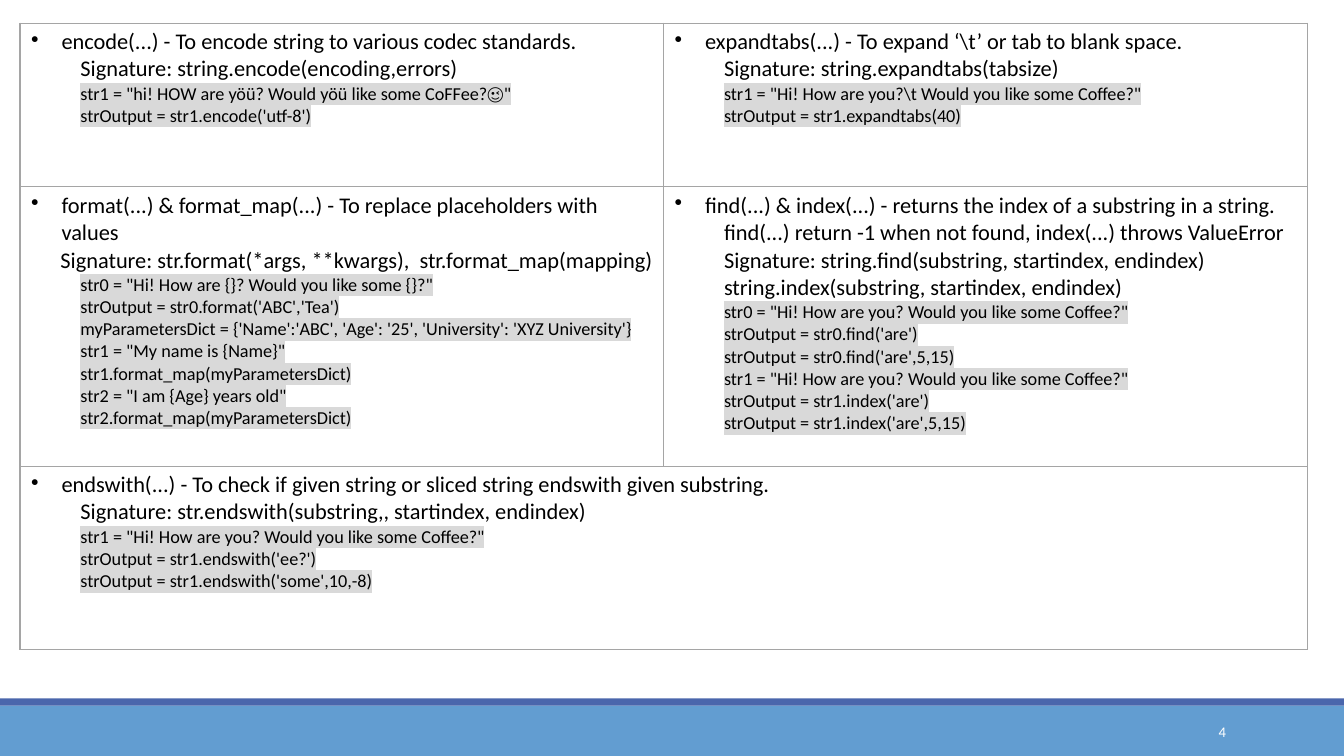
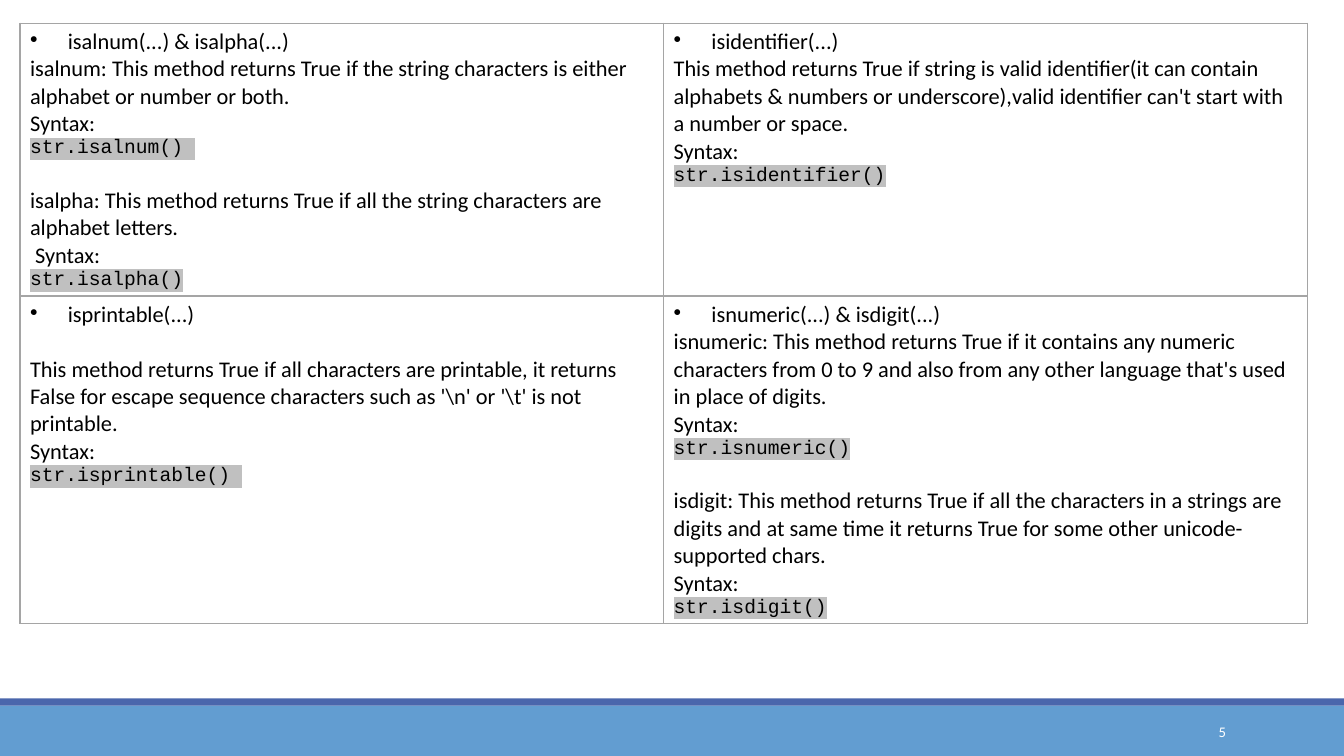
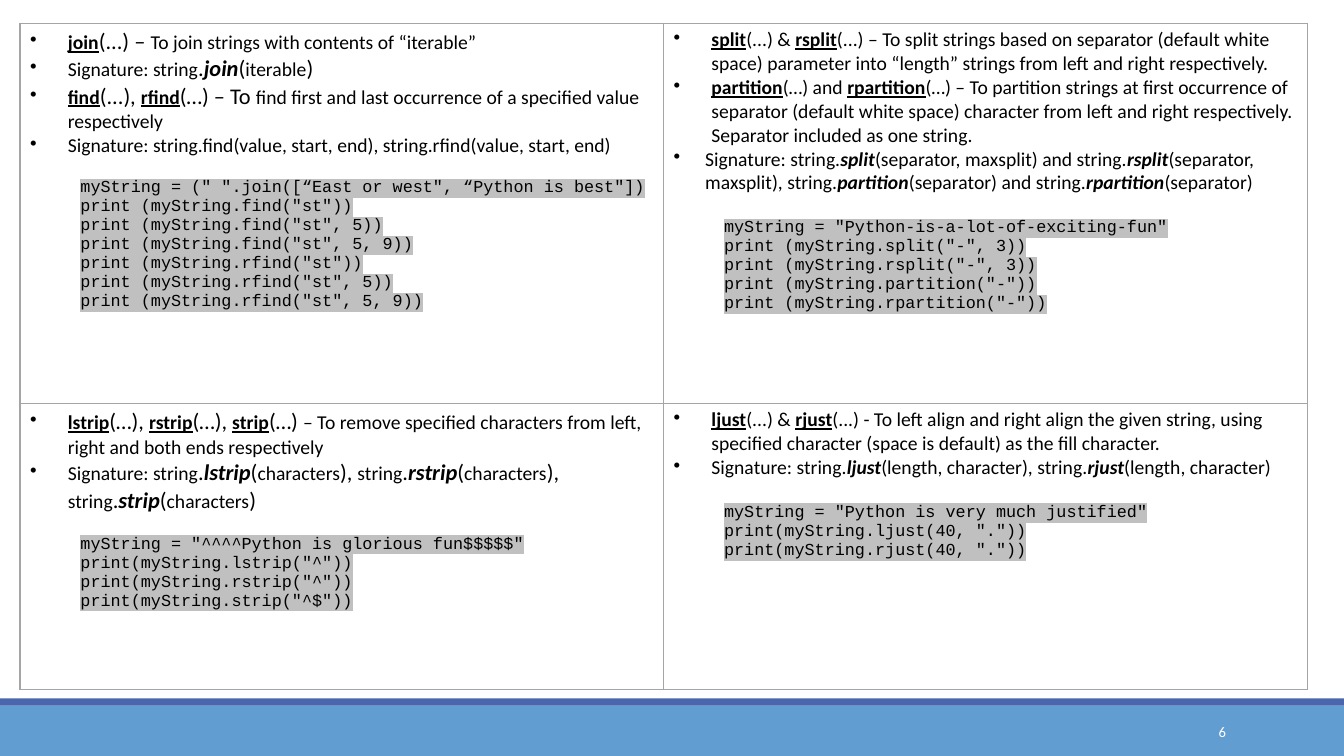
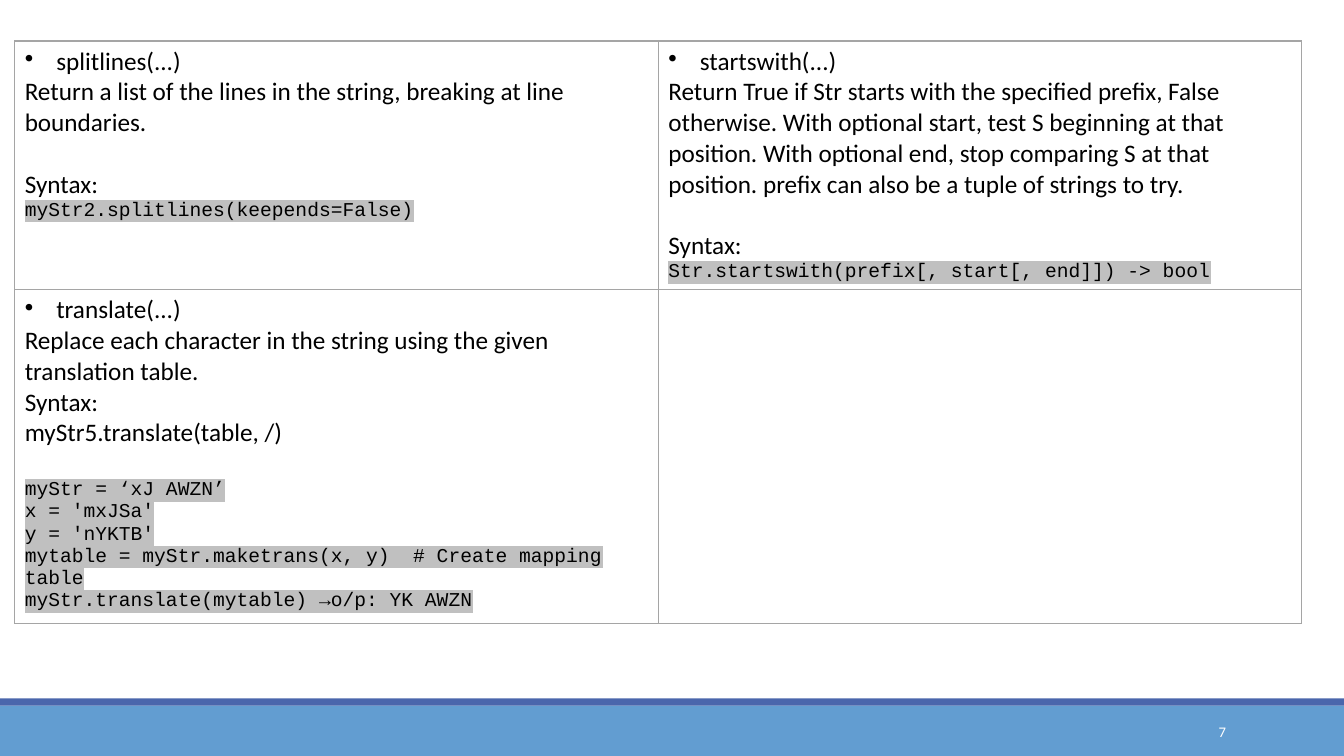
"""Build four slides of Python string method reference tables."""
import dataclasses
import typing

import lxml.etree
import pptx
import pptx.dml.color
import pptx.enum.shapes
import pptx.enum.text
import pptx.oxml.ns
import pptx.presentation
import pptx.slide
import pptx.util

PX = 9525
FIRST_NUMBER = 4
BLACK, WHITE, BORDER = "000000", "FFFFFF", "A5A5A5"
COLUMN = 613
SANS, MONO = "Calibri", "Courier New"


@dataclasses.dataclass(frozen=True)
class Style:
    left: int = 0
    first: int = 0
    size: float = 16
    font: str = SANS
    mark: str = ""


@dataclasses.dataclass(frozen=True)
class Span:
    text: str
    size: float = 0
    bold: bool = False
    italic: bool = False
    underline: bool = False


@dataclasses.dataclass(frozen=True)
class Para:
    style: Style
    spans: typing.Sequence[Span]
    gap: float = 0


@dataclasses.dataclass(frozen=True)
class Band:
    top: int
    height: int
    color: str


@dataclasses.dataclass(frozen=True)
class Page:
    left: int
    top: int
    heights: typing.Sequence[int]
    rows: typing.Sequence[typing.Sequence[typing.Sequence[Para]]]


BANDS = [Band(672, 48, "629DD1"), Band(665, 7, "4A66AC")]

METHOD = Style(30, -29)
DETAIL = Style(48)
SIGNATURE = Style(29)
EXAMPLE = Style(48, size=13, mark="D9D9D9")
TEST = Style(36, -36)
TEXT = Style()
SYNTAX = Style(size=14, font=MONO, mark="C0C0C0")
POINT = Style(36, -36, 14)
NARROW_POINT = Style(30, -30, 14)
LISTING = Style(48, size=12, font=MONO, mark="C0C0C0")
HEADING = Style(30, -30, 18)
PROSE = Style(size=18)


def px(n: int) -> pptx.util.Emu:
    return pptx.util.Emu(n * PX)


def rgb(value: str) -> pptx.dml.color.RGBColor:
    return pptx.dml.color.RGBColor.from_string(value)


def sub(parent: typing.Any, tag: str, **attrs: str) -> typing.Any:
    return lxml.etree.SubElement(parent, pptx.oxml.ns.qn(tag), attrs)


def block(style: Style, *texts: str, gap: float = 0) -> list[Para]:
    return [Para(style, [Span(t)], 0 if i else gap) for i, t in enumerate(texts)]


def mixed(style: Style, *parts: str | Span) -> Para:
    return Para(style, [Span(s) if isinstance(s, str) else s for s in parts])


def name(text: str) -> Span:
    return Span(text, bold=True, underline=True)


def call(text: str, size: float = 0) -> Span:
    return Span(text, size, bold=True, italic=True)


def big(text: str) -> Span:
    return Span(text, 16)


def format_run(r: typing.Any, span: Span, style: Style) -> None:
    f = r.font
    f.size = pptx.util.Pt(span.size or style.size)
    f.name = style.font
    f.color.rgb = rgb(BLACK)
    f.bold, f.italic, f.underline = span.bold, span.italic, span.underline
    if style.mark:
        rpr = r._r.get_or_add_rPr()
        highlight = sub(rpr, "a:highlight")
        sub(highlight, "a:srgbClr", val=style.mark)
        rpr.find(pptx.oxml.ns.qn("a:latin")).addprevious(highlight)


def fill_text(tf: typing.Any, paras: typing.Sequence[Para]) -> None:
    tf.text = "\n".join(para.spans[0].text for para in paras)
    for p, para in zip(tf.paragraphs, paras):
        style = para.style
        p.space_before = pptx.util.Pt(para.gap)
        ppr = p._p.get_or_add_pPr()
        ppr.set("marL", str(px(style.left)))
        ppr.set("indent", str(px(style.first)))
        if style.first:
            sub(ppr, "a:buChar", char="•")
        for span in para.spans[1:]:
            p.add_run().text = span.text
        for r, span in zip(p.runs, para.spans):
            format_run(r, span, style)


def outline_cell(cell: typing.Any) -> None:
    tcpr = cell._tc.get_or_add_tcPr()
    for side in "LRTB":
        ln = sub(tcpr, f"a:ln{side}", w=str(pptx.util.Pt(1)))
        sub(sub(ln, "a:solidFill"), "a:srgbClr", val=BORDER)
    cell.fill.background()


def add_grid(slide: pptx.slide.Slide, page: Page) -> None:
    table = slide.shapes.add_table(
        len(page.rows), 2, px(page.left), px(page.top),
        px(2 * COLUMN), px(sum(page.heights))).table
    table.first_row = table.horz_banding = False
    for column in table.columns:
        column.width = px(COLUMN)
    for i, (height, row) in enumerate(zip(page.heights, page.rows)):
        table.rows[i].height = px(height)
        for cell in table.rows[i].cells:
            outline_cell(cell)
        if len(row) == 1:
            table.cell(i, 0).merge(table.cell(i, 1))
        for j, paras in enumerate(row):
            if paras:
                fill_text(table.cell(i, j).text_frame, paras)


def add_number(slide: pptx.slide.Slide, number: int) -> None:
    tf = slide.shapes.add_textbox(px(1040), px(678), px(137), px(38)).text_frame
    tf.word_wrap = True
    tf.vertical_anchor = pptx.enum.text.MSO_ANCHOR.MIDDLE
    tf.text = str(number)
    p = tf.paragraphs[0]
    p.alignment = pptx.enum.text.PP_ALIGN.RIGHT
    f = p.runs[0].font
    f.size, f.name, f.color.rgb = pptx.util.Pt(10.5), SANS, rgb(WHITE)


def move_bands_to_layout(slide: pptx.slide.Slide) -> None:
    tree = slide.slide_layout.element.cSld.spTree
    for i, band in enumerate(BANDS):
        sp = slide.shapes.add_shape(
            pptx.enum.shapes.MSO_SHAPE.RECTANGLE,
            0, px(band.top), px(1280), px(band.height))
        sp.shadow.inherit = False
        sp.fill.solid()
        sp.fill.fore_color.rgb = rgb(band.color)
        sp.line.fill.background()
        sp.element.nvSpPr.cNvPr.set("id", str(20 + i))
        tree.append(sp.element)


CODECS = Page(19, 22, [156, 266, 175], [
    [
        [*block(METHOD, "encode(...) - To encode string to various codec standards."),
         *block(DETAIL, "Signature: string.encode(encoding,errors)"),
         *block(EXAMPLE, 'str1 = "hi! HOW are yöü? Would yöü like some CoFFee?😉"',
                "strOutput = str1.encode('utf-8')")],
        [*block(METHOD, r"expandtabs(...) - To expand ‘\t’ or tab to blank space."),
         *block(DETAIL, "Signature: string.expandtabs(tabsize)"),
         *block(EXAMPLE, r'str1 = "Hi! How are you?\t Would you like some Coffee?"',
                "strOutput = str1.expandtabs(40)")],
    ],
    [
        [*block(METHOD, "format(...) & format_map(...) - To replace placeholders with values"),
         *block(SIGNATURE, "Signature: str.format(*args, **kwargs),  str.format_map(mapping)"),
         *block(EXAMPLE, 'str0 = "Hi! How are {}? Would you like some {}?"',
                "strOutput = str0.format('ABC','Tea')",
                "myParametersDict = {'Name':'ABC', 'Age': '25', 'University': 'XYZ University'}",
                'str1 = "My name is {Name}"',
                "str1.format_map(myParametersDict)",
                'str2 = "I am {Age} years old"',
                "str2.format_map(myParametersDict)")],
        [*block(METHOD, "find(...) & index(...) - returns the index of a substring in a string."),
         *block(DETAIL, "find(...) return -1 when not found, index(...) throws ValueError",
                "Signature: string.find(substring, startindex, endindex)",
                "string.index(substring, startindex, endindex)"),
         *block(EXAMPLE, 'str0 = "Hi! How are you? Would you like some Coffee?"',
                "strOutput = str0.find('are')",
                "strOutput = str0.find('are',5,15)",
                'str1 = "Hi! How are you? Would you like some Coffee?"',
                "strOutput = str1.index('are')",
                "strOutput = str1.index('are',5,15)")],
    ],
    [
        [*block(METHOD, "endswith(...) - To check if given string or sliced string "
                "endswith given substring."),
         *block(DETAIL, "Signature: str.endswith(substring,, startindex, endindex)"),
         *block(EXAMPLE, 'str1 = "Hi! How are you? Would you like some Coffee?"',
                "strOutput = str1.endswith('ee?')",
                "strOutput = str1.endswith('some',10,-8)")],
    ],
])

CHECKS = Page(19, 22, [260, 312], [
    [
        [*block(TEST, "isalnum(...) & isalpha(...)"),
         *block(TEXT, "isalnum: This method returns True if the string characters is "
                "either alphabet or number or both.", "Syntax:"),
         *block(SYNTAX, "str.isalnum() "),
         *block(TEXT, "isalpha: This method returns True if all the string characters "
                "are alphabet letters.", " Syntax:", gap=19.5),
         *block(SYNTAX, "str.isalpha()")],
        [*block(TEST, "isidentifier(...)"),
         *block(TEXT, "This method returns True if string is valid identifier(it can "
                "contain alphabets & numbers or underscore),valid identifier can't "
                "start with a number or space.", "Syntax:"),
         *block(SYNTAX, "str.isidentifier()")],
    ],
    [
        [*block(TEST, "isprintable(...)"),
         *block(TEXT, "This method returns True if all characters are printable, it "
                r"returns False for escape sequence characters such as '\n' or '\t' "
                "is not printable.", "Syntax:", gap=19.5),
         *block(SYNTAX, "str.isprintable() ")],
        [*block(TEST, "isnumeric(...) & isdigit(...)"),
         *block(TEXT, "isnumeric: This method returns True if it contains any numeric "
                "characters from 0 to 9 and also from any other language that's used "
                "in place of digits.", "Syntax:"),
         *block(SYNTAX, "str.isnumeric()"),
         *block(TEXT, "isdigit: This method returns True if all the characters in a "
                "strings are digits and at same time it returns True for some other "
                "unicode-supported chars.", "Syntax:", gap=19.5),
         *block(SYNTAX, "str.isdigit()")],
    ],
])

JOINING = Page(19, 22, [362, 273], [
    [
        [mixed(POINT, name("join"), big("(...) – "),
               "To join strings with contents of “iterable”"),
         mixed(POINT, "Signature: string", big("."), call("join", 16), big("("),
               "iterable", big(")")),
         mixed(POINT, name("find"), big("(...), "), name("rfind"), big("(…) – To "),
               "find first and last occurrence of a specified value respectively"),
         *block(POINT, "Signature: string.find(value, start, end), "
                "string.rfind(value, start, end)"),
         *block(LISTING, 'myString = (" ".join([“East or west", “Python is best"])',
                'print (myString.find("st"))',
                'print (myString.find("st", 5))',
                'print (myString.find("st", 5, 9))',
                'print (myString.rfind("st"))',
                'print (myString.rfind("st", 5))',
                'print (myString.rfind("st", 5, 9))', gap=15)],
        [mixed(POINT, name("split"), "(...) & ", name("rsplit"),
               "(...) – To split strings based on separator (default white space) "
               "parameter into “length” strings from left and right respectively."),
         mixed(POINT, name("partition"), "(…) and ", name("rpartition"),
               "(…) – To partition strings at first occurrence of separator (default "
               "white space) character from left and right respectively. Separator "
               "included as one string."),
         mixed(NARROW_POINT, "Signature: string.", call("split"),
               "(separator, maxsplit) and string.", call("rsplit"),
               "(separator, maxsplit), string.", call("partition"),
               "(separator) and string.", call("rpartition"), "(separator)"),
         *block(LISTING, 'myString = "Python-is-a-lot-of-exciting-fun"',
                'print (myString.split("-", 3))',
                'print (myString.rsplit("-", 3))',
                'print (myString.partition("-"))',
                'print (myString.rpartition("-"))', gap=17)],
    ],
    [
        [mixed(POINT, name("lstrip"), big("(…), "), name("rstrip"), big("(…), "),
               name("strip"), big("(…) "),
               "– To remove specified characters from left, right and both ends respectively"),
         mixed(POINT, "Signature: string", big("."), call("lstrip", 16), big("("),
               "characters", big("), "), "string", big("."), call("rstrip", 16), big("("),
               "characters", big("), "), "string", big("."), call("strip", 16), big("("),
               "characters", big(")")),
         *block(LISTING, 'myString = "^^^^Python is glorious fun$$$$$"',
                'print(myString.lstrip("^"))',
                'print(myString.rstrip("^"))',
                'print(myString.strip("^$"))', gap=15)],
        [mixed(POINT, name("ljust"), "(...) & ", name("rjust"),
               "(...) - To left align and right align the given string, using "
               "specified character (space is default) as the fill character."),
         mixed(POINT, "Signature: string.", call("ljust"),
               "(length, character), string.", call("rjust"), "(length, character)"),
         *block(LISTING, 'myString = "Python is very much justified"',
                'print(myString.ljust(40, "."))',
                'print(myString.rjust(40, "."))', gap=17)],
    ],
])

LINES = Page(14, 39, [237, 311], [
    [
        [*block(HEADING, "splitlines(...)"),
         *block(PROSE, "Return a list of the lines in the string, breaking at line "
                "boundaries."),
         *block(PROSE, "Syntax:", gap=22),
         *block(SYNTAX, "myStr2.splitlines(keepends=False)")],
        [*block(HEADING, "startswith(...)"),
         *block(PROSE, "Return True if Str starts with the specified prefix, False "
                "otherwise. With optional start, test S beginning at that position. "
                "With optional end, stop comparing S at that position. prefix can "
                "also be a tuple of strings to try."),
         *block(PROSE, "Syntax:", gap=22),
         *block(SYNTAX, "Str.startswith(prefix[, start[, end]]) -> bool")],
    ],
    [
        [*block(HEADING, "translate(...)"),
         *block(PROSE, "Replace each character in the string using the given "
                "translation table.", "Syntax:", "myStr5.translate(table, /)"),
         *block(SYNTAX, "myStr = ‘xJ AWZN’", "x = 'mxJSa'", "y = 'nYKTB'",
                "mytable = myStr.maketrans(x, y)  # Create mapping table",
                "myStr.translate(mytable) →o/p: YK AWZN", gap=22)],
        [],
    ],
])


def main() -> None:
    prs = pptx.Presentation()
    prs.slide_width, prs.slide_height = px(1280), px(720)
    layout = prs.slide_layouts[6]
    for number, page in enumerate([CODECS, CHECKS, JOINING, LINES], FIRST_NUMBER):
        slide = prs.slides.add_slide(layout)
        add_grid(slide, page)
        add_number(slide, number)
    move_bands_to_layout(prs.slides[0])
    prs.save("out.pptx")


if __name__ == "__main__":
    main()
